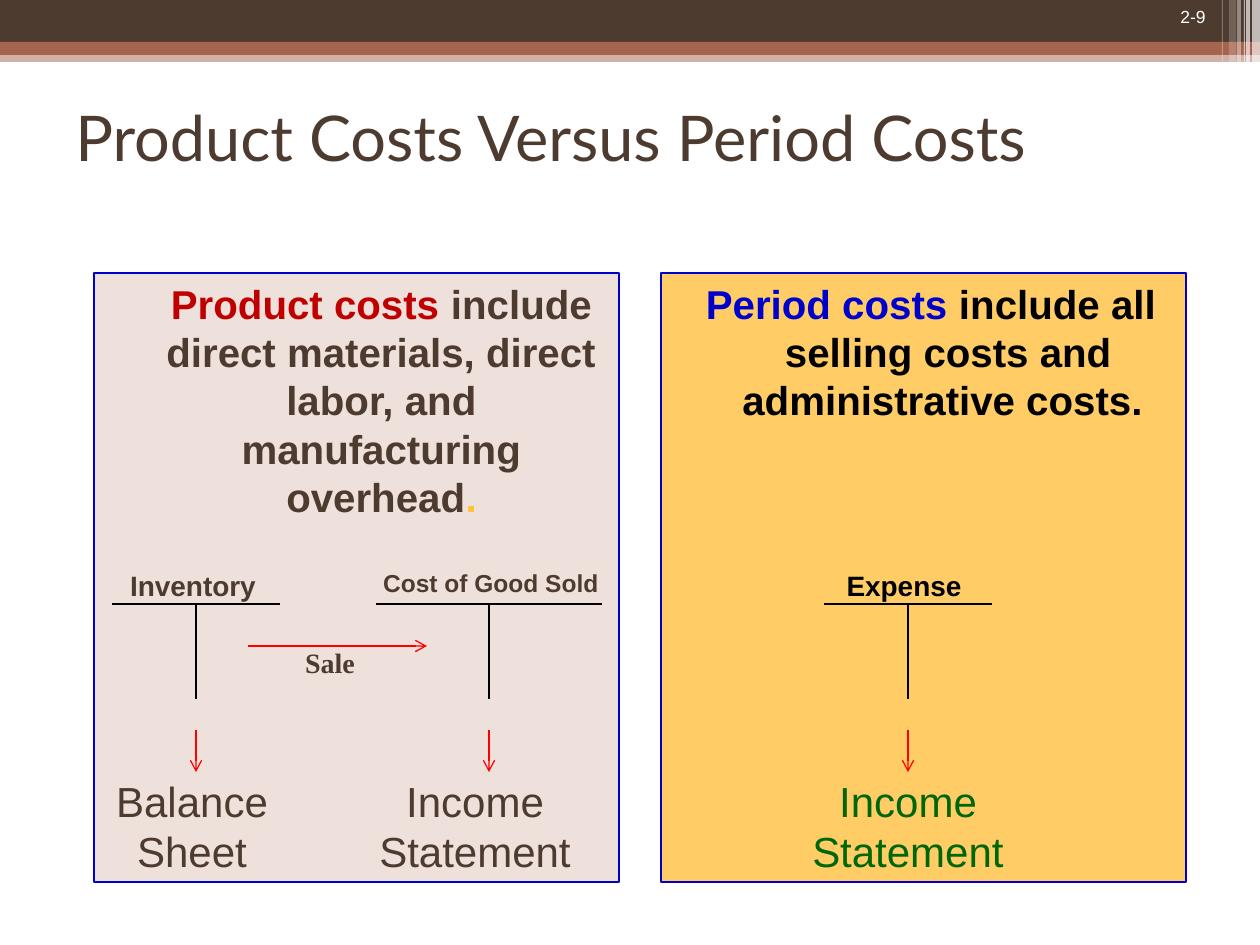
from lxml.etree import SubElement
from pptx import Presentation
from pptx.dml.color import RGBColor
from pptx.enum.shapes import MSO_CONNECTOR as Connector, MSO_SHAPE as Shape
from pptx.enum.text import MSO_ANCHOR as Anchor, PP_ALIGN as Align
from pptx.oxml.ns import qn
from pptx.util import Emu, Pt

SCALE = 914400 / 126  # EMU per px
BROWN, RUST, WHITE, BLACK = "4E3B30", "A5644E", "FFFFFF", "000000"
RED, BLUE, GREEN = "FF0000", "0000CC", "006600"


def px(length):
    return Emu(round(length * SCALE))


def color(hex_code):
    return RGBColor.from_string(hex_code)


def add_rect(slide, box, fill, opacity=100, line=None):
    rect = slide.shapes.add_shape(Shape.RECTANGLE, *map(px, box))
    rect.shadow.inherit = False
    rect.fill.solid()
    rect.fill.fore_color.rgb = color(fill)
    if opacity < 100:
        fill_color = rect.fill._xPr.find(qn("a:solidFill"))[0]
        SubElement(fill_color, qn("a:alpha"), val=str(opacity * 1000))
    if line:
        rect.line.color.rgb = color(line)
        rect.line.width = Pt(0.75)
    else:
        rect.line.fill.background()
    return rect


def add_line(slide, start, end, stroke=BLACK, arrow=False):
    line = slide.shapes.add_connector(Connector.STRAIGHT, *map(px, start + end))
    line.line.color.rgb = color(stroke)
    line.line.width = Pt(0.75)
    if arrow:
        SubElement(line.line._get_or_add_ln(), qn("a:tailEnd"), type="arrow")
    SubElement(line._element.spPr, qn("a:effectLst"))


def style(font, name, size, hex_code, bold=False):
    font.name, font.size, font.bold = name, Pt(size), bold
    font.color.rgb = color(hex_code)


def add_text(slide, box, text, size, hex_code, font="Arial", bold=False,
             align=Align.CENTER, anchor=Anchor.TOP):
    frame = slide.shapes.add_textbox(*map(px, box)).text_frame
    frame.word_wrap = True
    frame.vertical_anchor = anchor
    frame.text = text
    paragraph = frame.paragraphs[0]
    paragraph.alignment = align
    style(paragraph.font, font, size, hex_code, bold)


def add_header(slide, width):
    # Bands
    add_rect(slide, (0, 50, width, 12), RUST, opacity=50)
    add_rect(slide, (0, 0, width, 43), BROWN)
    add_rect(slide, (0, 42, width, 13), RUST)
    # Translucent stripes at the right edge: left, width, height, opacity
    for left, stripe, height, opacity in (
            (1252, 8, 86, 65), (1246, 4, 86, 65), (1244, 1, 86, 60),
            (1237, 4, 86, 40), (1229, 7, 81, 20), (1222, 1, 81, 30)):
        add_rect(slide, (left, 0, stripe, height), WHITE, opacity)
    # Slide number and title
    add_text(slide, (1082, 0, 136, 34), "2-9", 10, WHITE, align=Align.RIGHT)
    add_text(slide, (63, 63, 1134, 147), "Product Costs Versus Period Costs",
             36, BROWN, "Lato", align=Align.LEFT, anchor=Anchor.MIDDLE)


def add_panel(slide, box, fill, pieces, indent):
    panel = add_rect(slide, box, fill, line=BLUE)
    frame = panel.text_frame
    frame.word_wrap = True
    frame.vertical_anchor = Anchor.TOP
    paragraph = frame.paragraphs[0]
    paragraph.alignment = Align.CENTER
    properties = paragraph._p.get_or_add_pPr()
    properties.set("marL", str(px(50)))
    properties.set("indent", str(px(indent)))
    for text, hex_code in pieces:
        run = paragraph.add_run()
        run.text = text
        style(run.font, "Arial", 23, hex_code, True)


def add_account(slide, panel, axis, width, label, label_shift, statement,
                statement_shift, label_size=16, label_color=BROWN,
                statement_color=BROWN):
    """T-account centred on axis, with an arrow to its financial statement."""
    left, top = panel[:2]
    x, bar = left + axis, top + 331
    # T shape
    add_line(slide, (x - width // 2, bar), (x + width // 2, bar))
    add_line(slide, (x, bar), (x, bar + 95))
    add_text(slide, (x + label_shift - 130, top + 289, 260, 45), label,
             label_size, label_color, bold=True)
    # Statement
    add_text(slide, (x + statement_shift - 130, top + 496, 260, 113), statement,
             24, statement_color)
    add_line(slide, (x, top + 457), (x, top + 499), RED, arrow=True)


def add_product_costs(slide, box):
    left, top = box[:2]
    add_panel(slide, box, "EEE0DB", (
        ("Product costs ", "C00000"),
        ("include direct materials, direct labor, and manufacturing overhead", BROWN),
        (".", "FFC42F")), indent=0)
    add_account(slide, box, 102, 168, "Inventory", -3, "Balance\vSheet", -4)
    add_account(slide, box, 395, 226, "Cost of Good Sold", 2,
                "Income\vStatement", -14, label_size=14)
    # Sale moves cost from inventory to cost of goods sold
    add_line(slide, (left + 154, top + 373), (left + 333, top + 373), RED, arrow=True)
    add_text(slide, (left + 176, top + 366, 120, 46), "Sale", 16, BROWN,
             "Times New Roman", bold=True)


def add_period_costs(slide, box):
    add_panel(slide, box, "FFCC66", (
        ("Period costs", BLUE),
        (" include all selling costs and administrative costs. ", BLACK)), indent=-35)
    add_account(slide, box, 247, 168, "Expense", -4, "Income\vStatement", 0,
                label_color=BLACK, statement_color=GREEN)


def main():
    deck = Presentation()
    deck.slide_width, deck.slide_height = px(1260), px(945)
    slide = deck.slides.add_slide(deck.slide_layouts[6])
    add_header(slide, 1260)
    add_product_costs(slide, (94, 273, 525, 609))
    add_period_costs(slide, (661, 273, 525, 609))
    deck.save("out.pptx")


if __name__ == "__main__":
    main()
